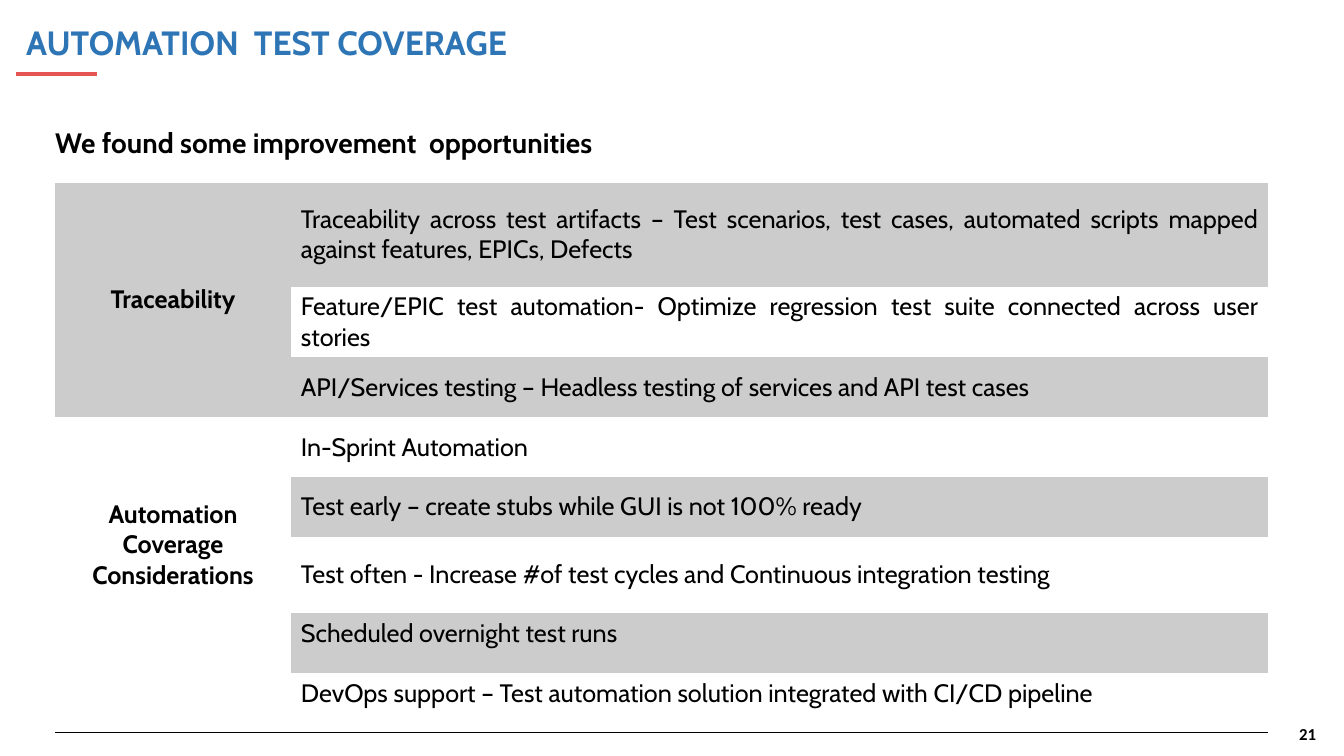
from lxml.etree import SubElement
from pptx import Presentation
from pptx.dml.color import RGBColor
from pptx.enum.shapes import MSO_CONNECTOR as CONN
from pptx.enum.text import MSO_ANCHOR as ANCHOR, PP_ALIGN as ALIGN
from pptx.oxml.ns import qn
from pptx.util import Cm, Pt

NO_GRID_STYLE = "{2D5ABB26-0587-4C30-8999-92F81FD0307C}"
BLACK, BLUE, RED, GREY = "000000", "2E75B6", "E55554", "CCCCCC"


def rgb(value):
    return RGBColor.from_string(value)


class Deck:
    """Holds the text style and the current slide."""

    style = {"name": "Cabin", "size": Pt(18), "bold": False}

    def __init__(self, width, height):
        self.prs = Presentation()
        self.prs.slide_width, self.prs.slide_height = Cm(width), Cm(height)
        self.s = self.prs.slides.add_slide(self.prs.slide_layouts[6])

    def add_run(self, tf, text, color=BLACK, align=ALIGN.LEFT, **fmt):
        p = tf.paragraphs[0]
        p.alignment = align
        r = p.add_run()
        r.text = text
        for key, value in {**self.style, **fmt}.items():
            setattr(r.font, key, value)
        r.font.color.rgb = rgb(color)

    def text(self, box, text, anchor=ANCHOR.TOP, **fmt):
        tf = self.s.shapes.add_textbox(*map(Cm, box)).text_frame
        tf.word_wrap = True
        tf.vertical_anchor = anchor
        self.add_run(tf, text, **fmt)

    def line(self, x1, y1, x2, y2, color, width):
        ln = self.s.shapes.add_connector(CONN.STRAIGHT, *map(Cm, (x1, y1, x2, y2)))
        ln.line.color.rgb = rgb(color)
        ln.line.width = Pt(width)
        SubElement(ln._element.spPr, qn("a:effectLst"))

    def table(self, left, top, cols, rows):
        frame = self.s.shapes.add_table(
            len(rows), len(cols), Cm(left), Cm(top), Cm(sum(cols)), Cm(sum(rows)))
        table = frame.table
        table.first_row = table.horz_banding = False
        table._tbl.tblPr.find(qn("a:tableStyleId")).text = NO_GRID_STYLE
        for col, width in zip(table.columns, cols):
            col.width = Cm(width)
        for row, height in zip(table.rows, rows):
            row.height = Cm(height)
        return table

    def cell(self, cell, text="", fill=None, anchor=ANCHOR.MIDDLE, **fmt):
        cell.vertical_anchor = anchor
        if fill:
            cell.fill.solid()
            cell.fill.fore_color.rgb = rgb(fill)
        else:
            cell.fill.background()
        if text:
            self.add_run(cell.text_frame, text, **fmt)

    def bottom_border(self, cell, color, width):
        tc_pr = cell._tc.get_or_add_tcPr()
        border = tc_pr.makeelement(qn("a:lnB"), {"w": str(Pt(width))})
        tc_pr.insert(0, border)
        SubElement(SubElement(border, qn("a:solidFill")), qn("a:srgbClr"), val=color)


GROUPS = [  # label, first row, last row, fill
    ("Traceability", 0, 2, GREY),
    ("Automation Coverage Considerations", 3, 6, None),
]
ITEMS = [  # row height, text
    (2.62, "Traceability across test artifacts – Test scenarios, test cases, "
           "automated scripts mapped against features, EPICs, Defects"),
    (1.51, "Feature/EPIC test automation- Optimize regression test suite "
           "connected across user stories"),
    (1.51, "API/Services testing – Headless testing of services and API test cases"),
    (1.51, "In-Sprint Automation"),
    (1.51, "Test early – create stubs while GUI is not 100% ready"),
    (1.91, "Test often - Increase #of test cycles and Continuous integration testing"),
    (1.51, "Scheduled overnight test runs"),
    (1.51, "DevOps support – Test automation solution integrated with CI/CD pipeline"),
]
TOP_ANCHORED_FROM = 6


def main():
    deck = Deck(33.87, 19.05)

    # Title, accent line and page number
    deck.text((0.41, 0.23, 27.46, 1.65), "AUTOMATION  TEST COVERAGE", ANCHOR.MIDDLE,
              color=BLUE, size=Pt(24), bold=True)
    deck.line(0.41, 1.86, 2.45, 1.86, RED, 3)
    deck.text((32.49, 18.11, 1.14, 0.77), "21", name="Calibri", size=Pt(12), bold=True)

    # Subtitle
    deck.text((1.14, 3.05, 19.79, 1.11), "We found some improvement  opportunities",
              size=Pt(20), bold=True)

    # Opportunities, shaded on alternate rows
    table = deck.table(1.39, 4.6, [5.94, 24.63], [height for height, _ in ITEMS])
    for i, (_, text) in enumerate(ITEMS):
        deck.cell(table.cell(i, 1), text, None if i % 2 else GREY,
                  ANCHOR.TOP if i >= TOP_ANCHORED_FROM else ANCHOR.MIDDLE,
                  align=ALIGN.JUSTIFY)

    # Group labels, each spanning its rows
    for label, first, last, fill in GROUPS:
        table.cell(first, 0).merge(table.cell(last, 0))
        deck.cell(table.cell(first, 0), label, fill, align=ALIGN.CENTER, bold=True)

    # Closing rule under the last row
    last_row = len(ITEMS) - 1
    deck.cell(table.cell(last_row, 0))
    for col in range(2):
        deck.bottom_border(table.cell(last_row, col), BLACK, 1)

    deck.prs.save("out.pptx")


if __name__ == "__main__":
    main()
